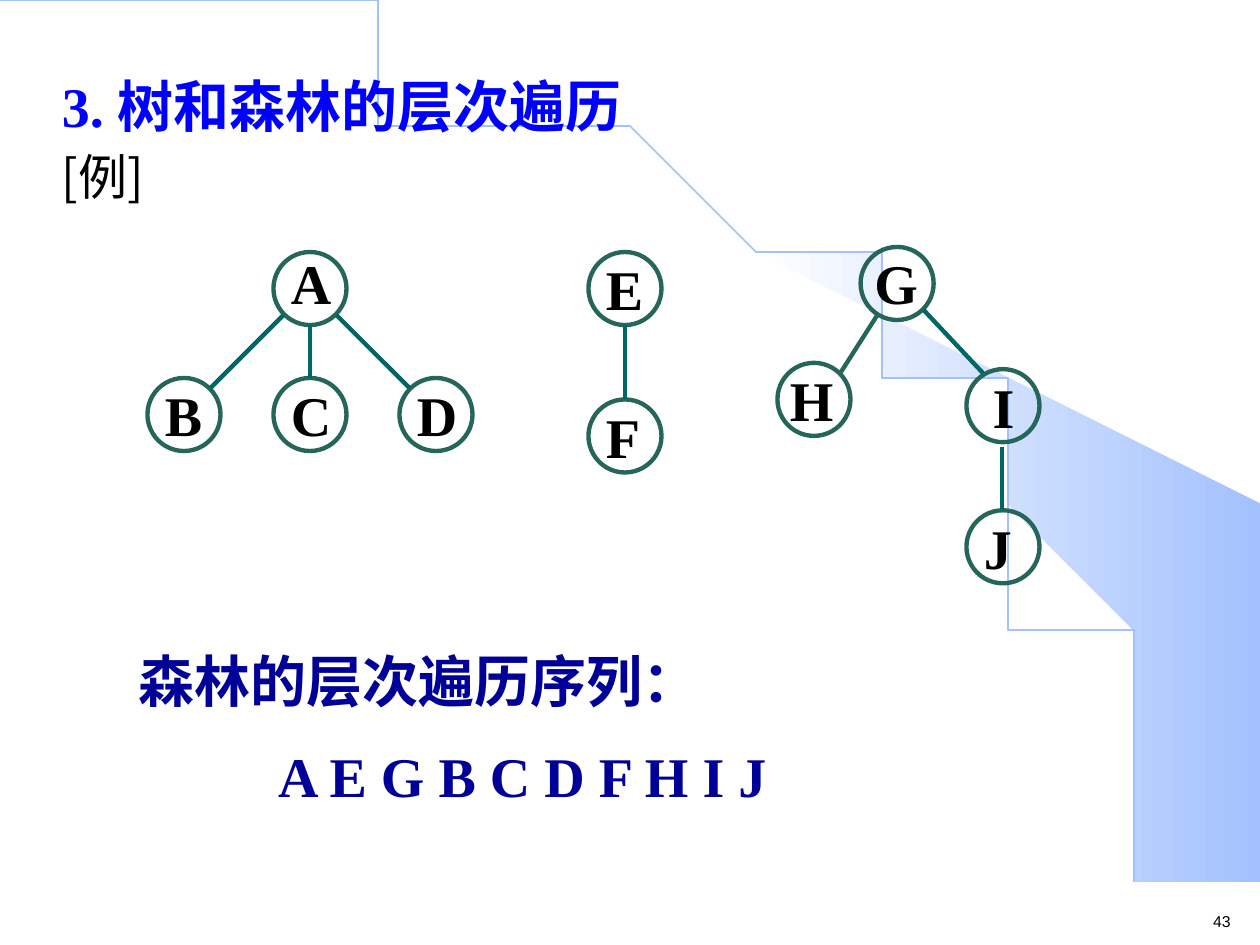
import pptx
import pptx.util
import pptx.dml.color
import pptx.enum.shapes
import pptx.enum.text
import lxml.etree

Inches = pptx.util.Inches
Pt = pptx.util.Pt
RGBColor = pptx.dml.color.RGBColor
BLUE = RGBColor(0x00, 0x00, 0xFF)
NAVY = RGBColor(0x00, 0x00, 0x99)
BLACK = RGBColor(0x00, 0x00, 0x00)
WHITE = RGBColor(0xFF, 0xFF, 0xFF)
SKY = RGBColor(0xA2, 0xC1, 0xFE)
GREEN = RGBColor(0x26, 0x66, 0x5A)
TEAL = RGBColor(0x00, 0x66, 0x66)
SERIF = "Times New Roman"
SANS = "Noto Sans CJK SC"
SIZE = 0.58


def style(para, text, font, size, color, bold):
    para.text = text
    para.alignment = pptx.enum.text.PP_ALIGN.LEFT
    para.space_before = Pt(0)
    para.font.name = font
    para.font.size = Pt(size)
    para.font.bold = bold
    para.font.color.rgb = color


def trace(points):
    pen = slide.shapes.build_freeform(*points[0], scale=Inches(1))
    pen.add_line_segments(points[1:], close=points[0] == points[-1])
    shape = pen.convert_to_shape()
    shape.shadow.inherit = False
    return shape


deck = pptx.Presentation()
deck.slide_width = Inches(10)
deck.slide_height = Inches(7.5)
slide = deck.slides.add_slide(deck.slide_layouts[1])

beam = trace([
    (9.2, 7.48), (9.99, 7.49), (9.99, 4.23), (5.89, 1.73), (6.24, 1.99),
    (6.53, 2.22), (6.85, 2.5), (7.16, 2.8), (7.62, 3.3), (8.03, 3.84),
    (8.32, 4.31), (8.58, 4.79), (8.78, 5.28), (8.93, 5.72), (9.03, 6.09),
    (9.13, 6.56), (9.17, 6.96), (9.2, 7.48)])
beam.fill.gradient()
beam.fill.gradient_angle = 0
for stop, color in zip(beam.fill.gradient_stops, (WHITE, SKY)):
    stop.color.rgb = color
beam.line.fill.background()

steps = [n / 60 for n in range(61)]
arc = trace([
    (3 * t * (1 - t) ** 2 * 5.08 + 3 * t ** 2 * (1 - t) * 9.2 + t ** 3 * 9.2,
     3 * t ** 2 * (1 - t) * 3.35 + t ** 3 * 7.49) for t in steps])
arc.fill.background()
arc.line.color.rgb = SKY
arc.line.width = Pt(1)

heads = [
    (slide.shapes.title, 0.52, 0.62, "3. 树和森林的层次遍历", SERIF, 32, BLUE, True),
    (slide.placeholders[1], 1.11, 0.7, "[例]", SANS, 28, BLACK, False),
]
for holder, top, height, text, font, size, color, bold in heads:
    slide.shapes.element.append(holder.element)
    holder.left, holder.top = Inches(0.39), Inches(top)
    holder.width, holder.height = Inches(8.62), Inches(height)
    frame = holder.text_frame
    frame.auto_size = pptx.enum.text.MSO_AUTO_SIZE.NONE
    frame.vertical_anchor = pptx.enum.text.MSO_ANCHOR.TOP
    para = frame.paragraphs[0]
    props = para._p.get_or_add_pPr()
    props.set("marL", "0")
    props.set("indent", "0")
    lxml.etree.SubElement(props, pptx.oxml.ns.qn("a:buNone"))
    style(para, text, font, size, color, bold)

nodes = [
    ("A", 2.17, 2, 0.04, -0.08, 1), ("B", 1.17, 3, 0.04, -0.08, 1.1),
    ("C", 2.17, 3, 0.04, -0.08, 1.1), ("D", 3.17, 3, 0.04, -0.08, 1.1),
    ("E", 4.67, 2, 0.04, -0.08, 1.1), ("F", 4.67, 3.17, 0.04, -0.08, 1.1),
    ("G", 6.83, 1.96, 0.01, -0.04, 1), ("H", 6.17, 2.88, 0, -0.08, 1.1),
    ("I", 7.67, 2.93, 0.11, -0.08, 1.1), ("J", 7.67, 4.05, 0.04, -0.08, 1.1),
]
for name, left, top, right, down, space in nodes:
    ring = slide.shapes.add_shape(
        pptx.enum.shapes.MSO_SHAPE.OVAL,
        Inches(left), Inches(top), Inches(SIZE), Inches(SIZE))
    ring.shadow.inherit = False
    ring.fill.background()
    ring.line.color.rgb = GREEN
    ring.line.width = Pt(2.5)
    label = slide.shapes.add_textbox(
        Inches(left + right), Inches(top + down),
        Inches(SIZE), Inches(0.63 if space == 1 else 0.69))
    label.text_frame.word_wrap = True
    para = label.text_frame.paragraphs[0]
    style(para, name, SERIF, 32, BLACK, True)
    para.line_spacing = float(space)

edges = [
    (2.46, 2.58, 2.46, 3, TEAL), (2.25, 2.5, 1.67, 3.08, TEAL),
    (2.67, 2.5, 3.25, 3.08, TEAL), (4.96, 2.58, 4.96, 3.17, TEAL),
    (6.97, 2.49, 6.67, 2.96, GREEN), (7.33, 2.46, 7.8, 2.96, TEAL),
    (7.95, 3.55, 7.95, 4.05, TEAL),
]
for *ends, color in edges:
    edge = slide.shapes.add_connector(
        pptx.enum.shapes.MSO_CONNECTOR.STRAIGHT, *map(Inches, ends))
    edge.line.color.rgb = color
    edge.line.width = Pt(2.5)
    lxml.etree.SubElement(edge.element.spPr, pptx.oxml.ns.qn("a:effectLst"))

order = slide.shapes.add_textbox(
    Inches(1), Inches(5.08), Inches(7.67), Inches(1.43)).text_frame
order.word_wrap = True
style(order.paragraphs[0], "森林的层次遍历序列：", SERIF, 32, NAVY, True)
para = order.add_paragraph()
para._p.get_or_add_pPr().set("marL", str(Inches(1.11)))
style(para, "A E G B C D F H I J", SERIF, 32, NAVY, True)
para.space_before = Pt(16)

page = slide.shapes.add_textbox(
    Inches(9.53), Inches(7.19), Inches(0.35), Inches(0.25)).text_frame
page.word_wrap = False
style(page.paragraphs[0], "43", "Arial", 9, BLACK, False)

deck.save("out.pptx")
